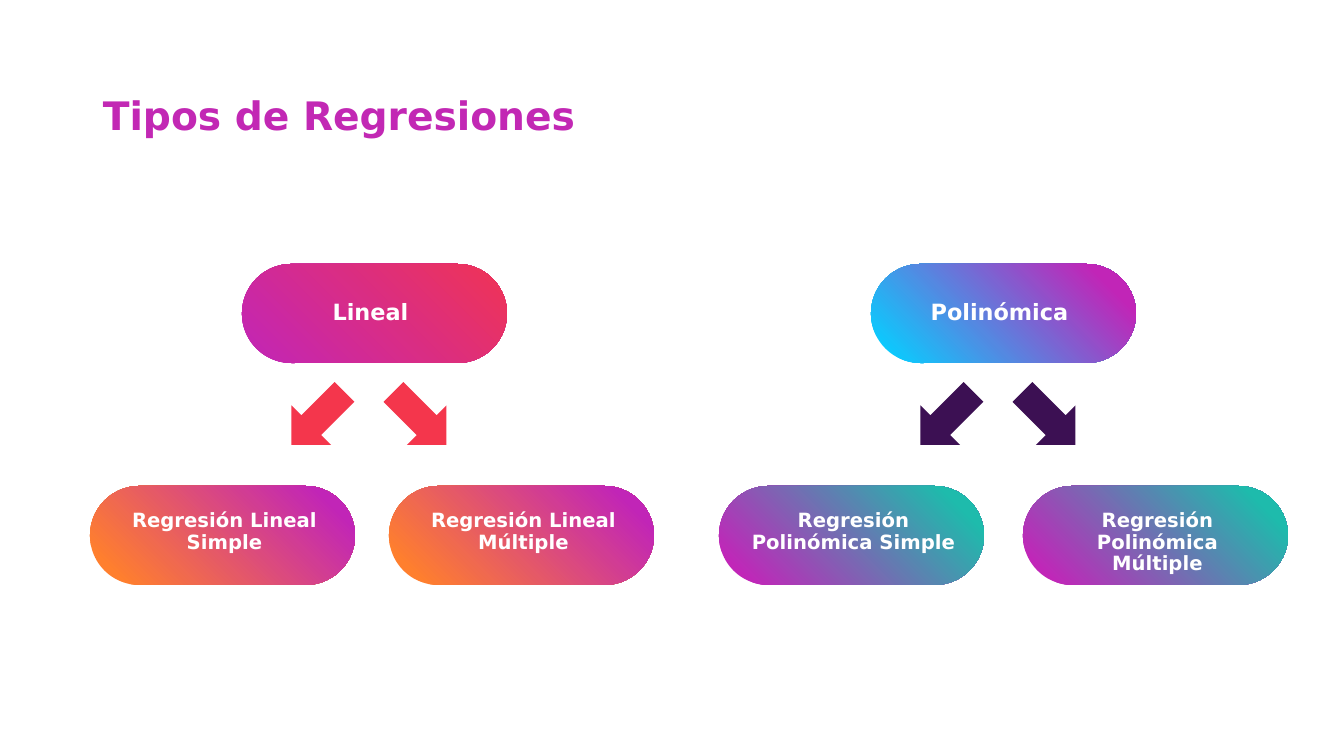
from pptx import Presentation
from pptx.dml.color import RGBColor
from pptx.enum.shapes import MSO_SHAPE as SHAPE
from pptx.enum.text import MSO_ANCHOR as ANCHOR, PP_ALIGN as ALIGN
from pptx.util import Pt

SCALE = 914400 / 100.8
FONT = "DejaVu Sans"
PILL_W, PILL_H = 265, 99
ARROW_W, ARROW_H = 56, 75


def px(*lengths):
    """Turn pixel lengths into EMU."""
    return [round(n * SCALE) for n in lengths]


def color(hex_code):
    """Return the colour for a hex string."""
    return RGBColor.from_string(hex_code)


def add_text(s, box, text, size, hex_code, align=ALIGN.LEFT, anchor=ANCHOR.TOP, before=0):
    """Add a wrapped text box with one bold run."""
    tf = s.shapes.add_textbox(*px(*box)).text_frame
    tf.word_wrap = True
    tf.vertical_anchor = anchor
    p = tf.paragraphs[0]
    p.alignment = align
    p.line_spacing = 0.9
    p.space_before = Pt(before)
    r = p.add_run()
    r.text = text
    r.font.name = FONT
    r.font.size = Pt(size)
    r.font.bold = True
    r.font.color.rgb = color(hex_code)


def add_plain_shape(s, kind, box):
    """Add a preset shape without line or shadow."""
    sp = s.shapes.add_shape(kind, *px(*box))
    sp.shadow.inherit = False
    sp.line.fill.background()
    return sp


def add_pill(s, x, y, stops, text, size, dx, dy):
    """Add a gradient pill with its label offset by dx, dy."""
    sp = add_plain_shape(s, SHAPE.ROUNDED_RECTANGLE, (x, y, PILL_W, PILL_H))
    sp.adjustments[0] = 0.5
    sp.fill.gradient()
    sp.fill.gradient_angle = 45
    for stop, (position, hex_code) in zip(sp.fill.gradient_stops, stops):
        stop.position = position
        stop.color.rgb = color(hex_code)
    add_text(s, (x + dx, y + dy, 237, 44), text, size, "FFFFFF", ALIGN.CENTER, before=7.5)


def add_arrow(s, x, y, rotation, hex_code):
    """Add a rotated block arrow."""
    sp = add_plain_shape(s, SHAPE.DOWN_ARROW, (x, y, ARROW_W, ARROW_H))
    sp.rotation = rotation
    sp.fill.solid()
    sp.fill.fore_color.rgb = color(hex_code)


def add_family(s, box, head, head_stops, kinds, kind_stops, arrow_color):
    """Add a regression family: head pill, two arrows and its two kinds."""
    x, y, w, h = box
    add_pill(s, x + 152, y, head_stops, head, 16, 10, 32)
    for kind, left in zip(kinds, (x, x + w - PILL_W)):
        add_pill(s, left, y + h - PILL_H, kind_stops, kind, 14, 16, 20)
    for dx, rotation in ((200, 45), (302, 315)):
        add_arrow(s, x + dx, y + 117, rotation, arrow_color)


def build_slide(prs):
    """Add the slide with the title and both regression families."""
    s = prs.slides.add_slide(prs.slide_layouts[6])
    add_text(s, (93, 72, 1159, 92), "Tipos de Regresiones", 28, "C228B4", anchor=ANCHOR.MIDDLE)
    add_family(s, (90, 264, 564, 321),
               "Lineal", [(0, "C125B7"), (1, "F03455")],
               ["Regresión Lineal Simple", "Regresión Lineal Múltiple"],
               [(0.1, "FF7F2E"), (0.89, "C125B7")], "F4364C")
    add_family(s, (719, 264, 569, 321),
               "Polinómica", [(0.08, "0DC9FD"), (0.87, "C125B7")],
               ["Regresión Polinómica Simple", "Regresión Polinómica Múltiple"],
               [(0.09, "C126B8"), (0.88, "1EBBAC")], "3C1053")


prs = Presentation()
prs.slide_width, prs.slide_height = px(1344, 756)
build_slide(prs)
prs.save("out.pptx")
